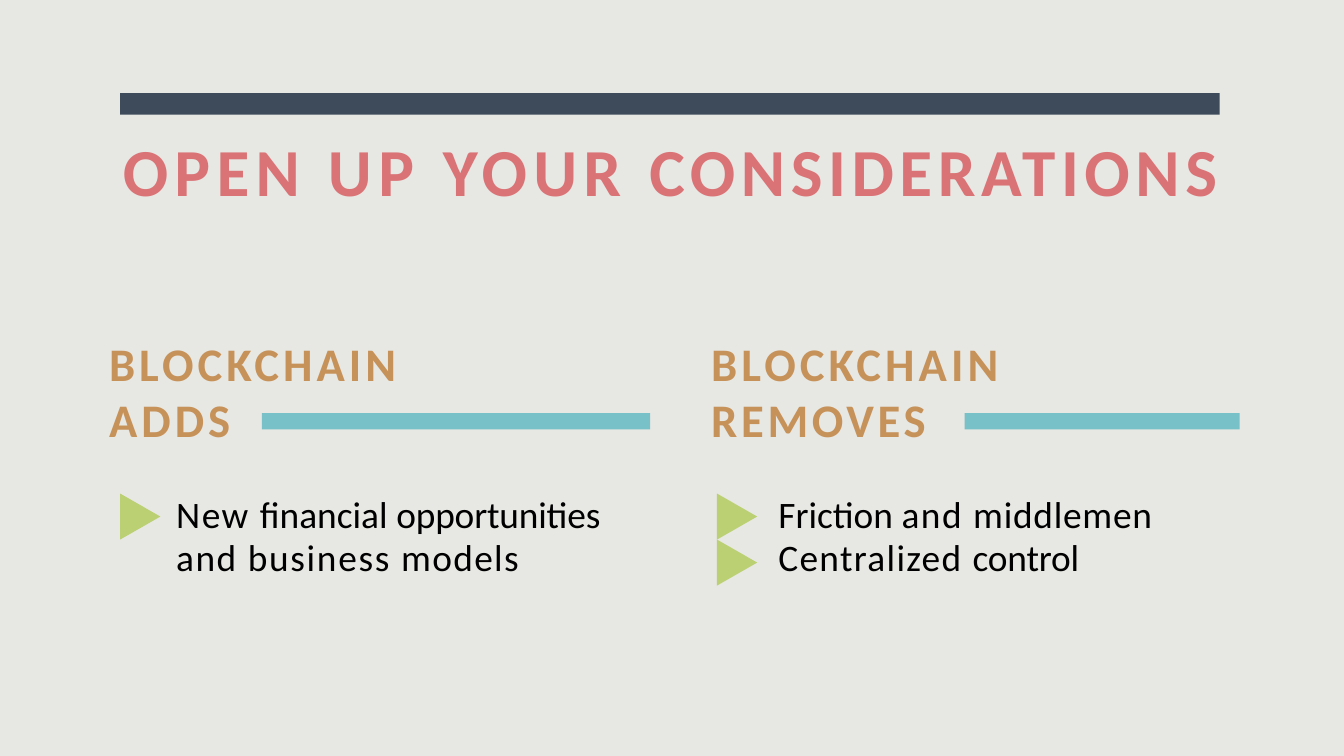
from pptx import Presentation
from pptx import util as u
from pptx.dml.color import RGBColor
from pptx.enum import shapes, text
from pptx.oxml.ns import qn

PAPER, NAVY, ROSE = "E7E7E3", "3E4B5B", "DA7376"
OCHRE, TEAL, GREEN, BLACK = "C69259", "78C1C9", "BBD073", "000000"


def color(hex_code):
    return RGBColor.from_string(hex_code)


class Deck:
    font = "Calibri"

    def __init__(self, width, height):
        self.prs = Presentation()
        self.prs.slide_width, self.prs.slide_height = u.Cm(width), u.Cm(height)
        self.slide = self.prs.slides.add_slide(self.prs.slide_layouts[3])
        fill = self.slide.background.fill
        fill.solid()
        fill.fore_color.rgb = color(PAPER)

    def placeholder(self, idx, left, top, width, height):
        """Move a template placeholder and return its text frame."""
        box = self.slide.placeholders[idx]
        box.left, box.top = u.Cm(left), u.Cm(top)
        box.width, box.height = u.Cm(width), u.Cm(height)
        frame = box.text_frame
        frame.margin_left = frame.margin_right = frame.margin_bottom = 0
        frame.margin_top = u.Cm(0.06)
        frame.vertical_anchor = text.MSO_ANCHOR.TOP
        frame.auto_size = text.MSO_AUTO_SIZE.NONE
        frame.word_wrap = True
        return frame

    def fill_paragraph(self, paragraph, pieces, size, hex_code, bold=False,
                       indent=0.03, before=0, line=1.0):
        """Fill a paragraph with (words, letter spacing in points) pieces."""
        props = paragraph._p.get_or_add_pPr()
        props.set("marL", str(u.Cm(indent)))
        props.set("indent", "0")
        paragraph.alignment = text.PP_ALIGN.LEFT
        paragraph.space_before = u.Pt(before)
        paragraph.line_spacing = line
        props.append(props.makeelement(qn("a:buNone"), {}))
        font = paragraph.font
        font.name, font.size, font.bold = self.font, u.Pt(size), bold
        font.color.rgb = color(hex_code)
        for words, spacing in pieces:
            for n, part in enumerate(words.split("\v")):
                if n:
                    paragraph.add_line_break()
                if part:
                    run = paragraph.add_run()
                    run.text = part
                    run._r.get_or_add_rPr().set("spc", str(round(spacing * 100)))

    def title(self, pieces, *place):
        frame = self.placeholder(0, *place)
        self.fill_paragraph(frame.paragraphs[0], pieces, 36, ROSE, bold=True)

    def column(self, idx, heading, points, *place):
        frame = self.placeholder(idx, *place)
        self.fill_paragraph(frame.paragraphs[0], heading, 25, OCHRE, bold=True)
        for n, point in enumerate(points):
            self.fill_paragraph(frame.add_paragraph(), point, 20, BLACK,
                                indent=1.3, before=0 if n else 25, line=0.97)

    def shape(self, kind, hex_code, left, top, width, height):
        item = self.slide.shapes.add_shape(
            kind, u.Cm(left), u.Cm(top), u.Cm(width), u.Cm(height))
        item.shadow.inherit = False
        item.fill.solid()
        item.fill.fore_color.rgb = color(hex_code)
        item.line.fill.background()
        return item

    def bar(self, hex_code, *place):
        self.shape(shapes.MSO_SHAPE.RECTANGLE, hex_code, *place)

    def marker(self, left, top, width, height):
        """Draw a triangle that points right and fills the given box."""
        shift = (width - height) / 2
        item = self.shape(shapes.MSO_SHAPE.ISOSCELES_TRIANGLE, GREEN,
                          left + shift, top - shift, height, width)
        item.rotation = 90


def main():
    deck = Deck(25.4, 14.29)
    deck.bar(NAVY, 2.27, 1.76, 20.78, 0.41)
    deck.title([("OPEN ", 3.4), ("UP ", 3.6), ("YOUR ", 3.4),
                ("CONSIDERATIONS", 3)], 2.29, 2.39, 20.88, 1.6)

    adds = [[("New ", 0.8), ("ﬁnancial ", 0), ("opportunities ", -0.1),
             ("and ", 0.8), ("business", 0.9), (" models", 0.7)]]
    removes = [[("Friction ", 0), ("and ", 0.8), ("middlemen", 0.4)],
               [("Centralized ", 0.7), ("control", -0.1)]]
    deck.column(1, [("BLOCKCHAIN\vADDS", 2.2)], adds, 2.03, 6.27, 9.75, 4.72)
    deck.column(2, [("BLOCKCHAIN\v", 2.2), ("REMOVES", 2)], removes,
                13.41, 6.27, 8.61, 4.72)

    for left, width in ((4.95, 7.34), (18.23, 5.2)):
        deck.bar(TEAL, left, 7.81, width, 0.31)

    marker_height = 0.87
    for left, points in ((2.27, adds), (13.55, removes)):
        for n in range(len(points)):
            deck.marker(left, 9.33 + n * marker_height, 0.76, marker_height)

    deck.prs.save("out.pptx")


if __name__ == "__main__":
    main()
